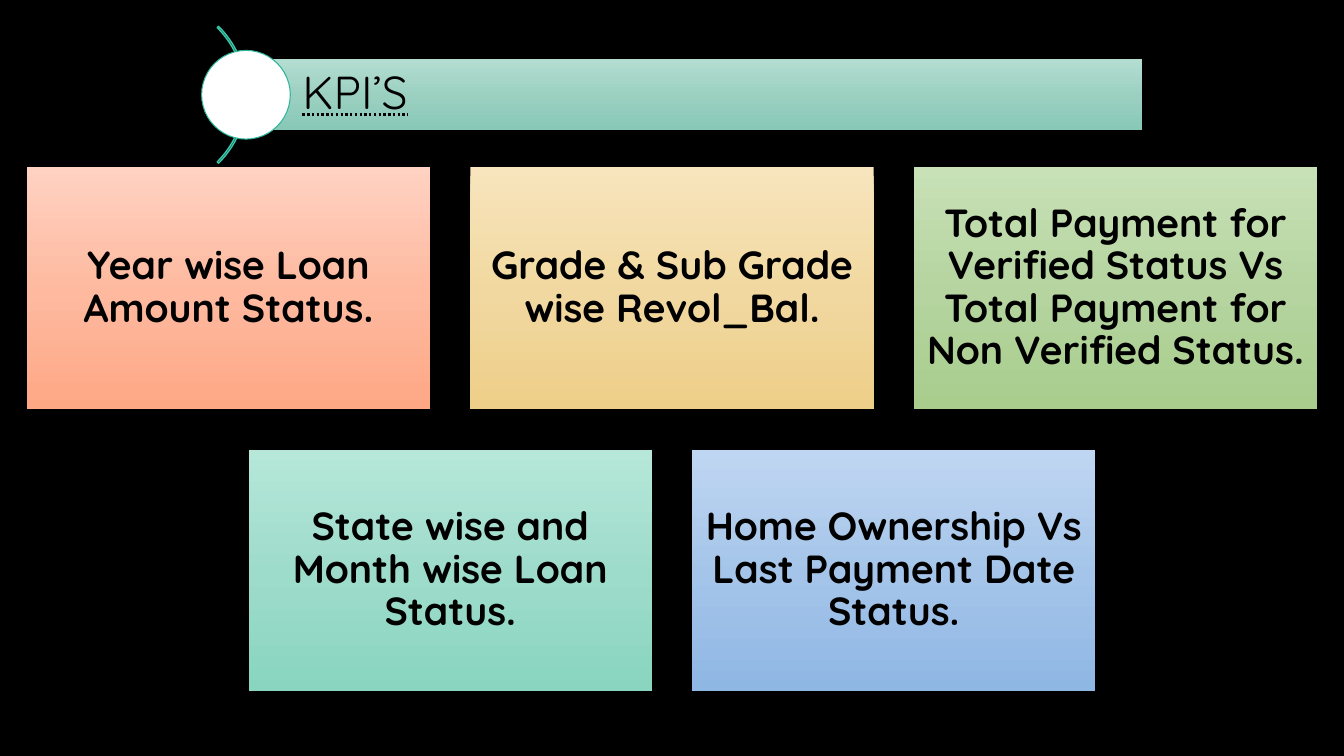
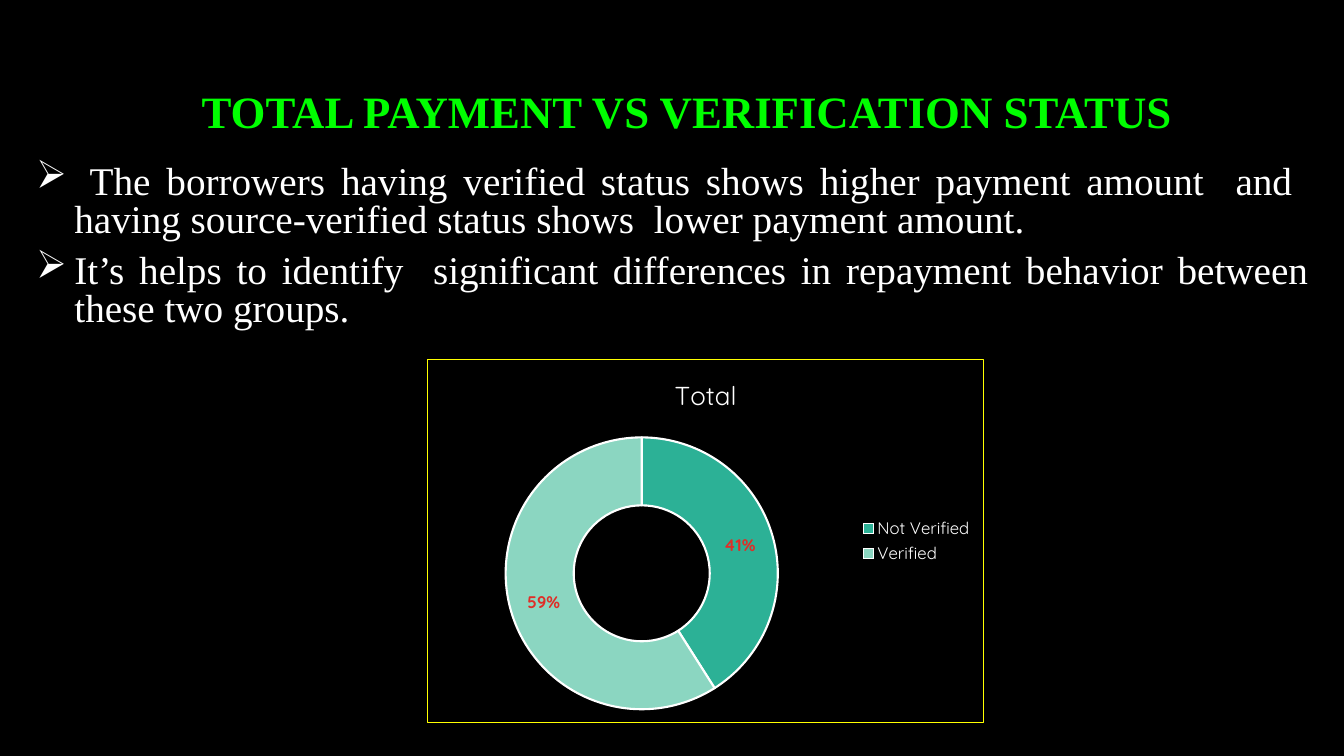
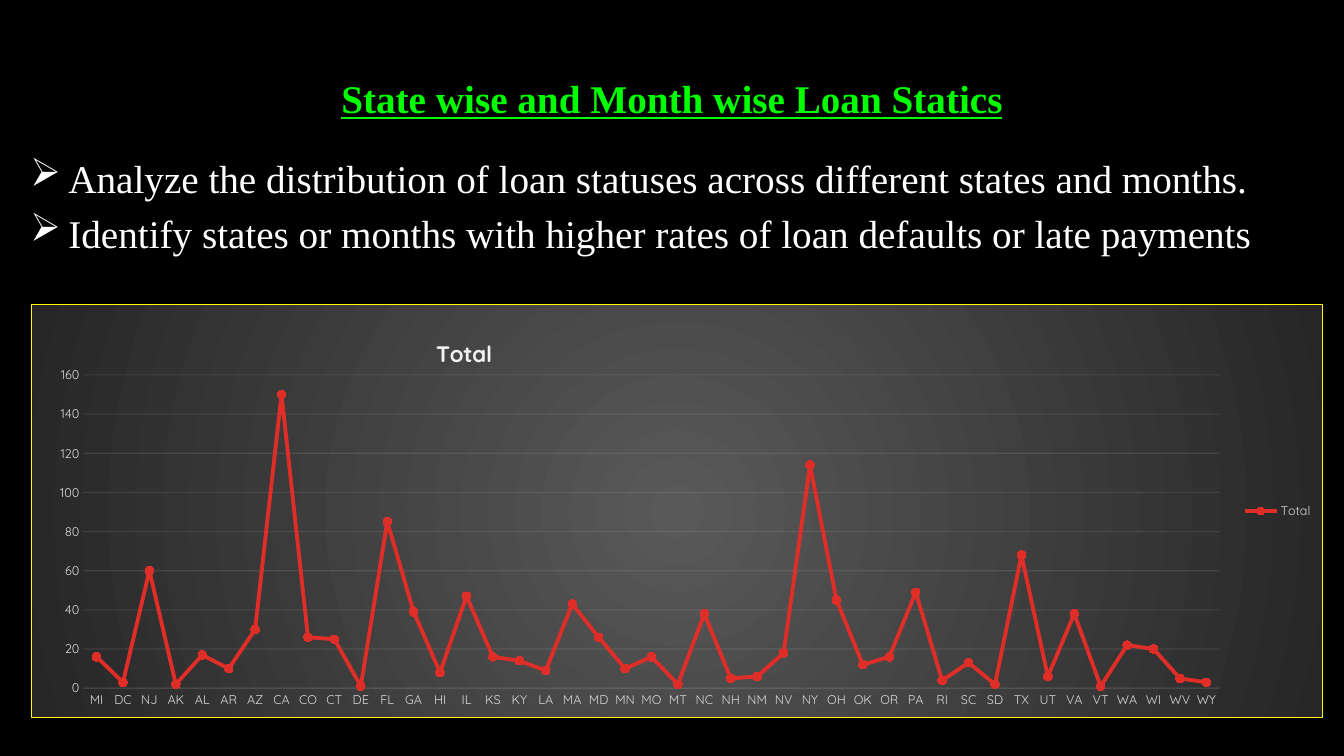
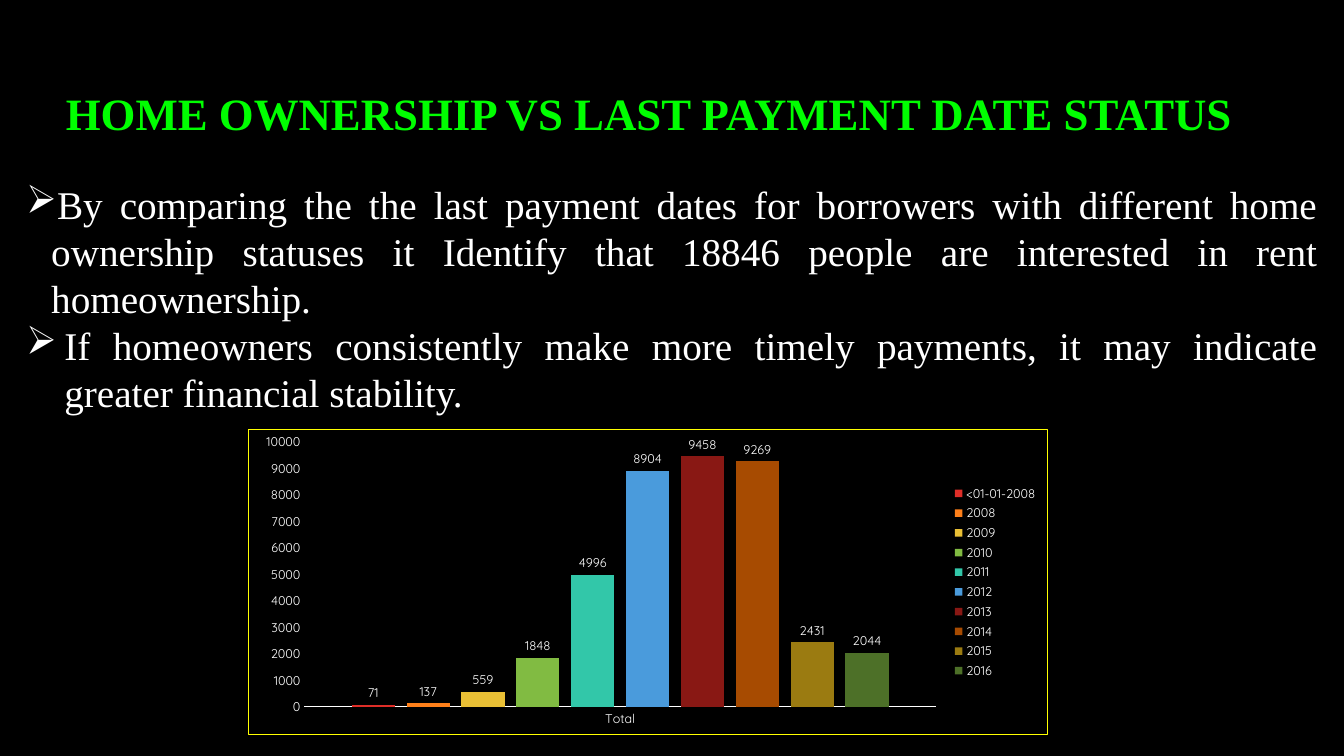
from dataclasses import dataclass
from typing import Optional

import pptx
import pptx.chart.chart
import pptx.chart.data
import pptx.dml.color
import pptx.enum.chart
import pptx.enum.dml
import pptx.enum.shapes
import pptx.enum.text
import pptx.oxml
import pptx.oxml.ns
import pptx.shapes.autoshape
import pptx.slide
import pptx.text.text
import pptx.util

COLUMNS, ROWS = 133.33, 75
CELL = 0.1
DISPLAY_FONT, BODY_FONT = "Quicksand", "Times New Roman"
BLACK, WHITE, GREEN, YELLOW, RED = "000000", "FFFFFF", "00FF00", "FFFF00", "DF2E28"
PALE = "D9D9D9"
CARD_WIDTH, CARD_HEIGHT, CARD_GAP, CARD_TOP = 40, 24, 4, 16.6

Align = pptx.enum.text.PP_ALIGN
Anchor = pptx.enum.text.MSO_ANCHOR
Preset = pptx.enum.shapes.MSO_SHAPE
ChartType = pptx.enum.chart.XL_CHART_TYPE


@dataclass(frozen=True)
class Box:
    column: float
    row: float
    columns: float
    rows: float

    def lengths(self) -> list:
        return [cells(n) for n in (self.column, self.row, self.columns, self.rows)]


@dataclass(frozen=True)
class TextStyle:
    size: float
    color: str
    font: str = BODY_FONT
    bold: bool = False
    underline: object = None


@dataclass(frozen=True)
class Card:
    text: str
    colors: tuple


@dataclass(frozen=True)
class Bullet:
    text: str
    indent: float = 0.38


@dataclass(frozen=True)
class PlotArea:
    x: float
    y: float
    width: float
    height: float


TITLE = TextStyle(32, GREEN, bold=True)
SUBTITLE = TextStyle(28, GREEN, bold=True, underline=True)
BODY = TextStyle(28, WHITE)
CARD_TEXT = TextStyle(28, BLACK, DISPLAY_FONT, bold=True)
BANNER_TEXT = TextStyle(33, BLACK, DISPLAY_FONT,
                        underline=pptx.enum.text.MSO_UNDERLINE.DOTTED_LINE)

CARD_ROWS = (
    (
        Card("Year wise Loan Amount Status.", ("FFD2C2", "FEB99F", "FEA785")),
        Card("Grade & Sub Grade wise Revol_Bal.", ("F8E5BD", "F1D8A0", "EECF89")),
        Card("Total Payment for Verified Status Vs Total Payment for Non Verified Status.",
             ("C8E1B7", "B5D49F", "A8CD8D")),
    ),
    (
        Card("State wise and Month wise Loan Status.", ("B6E7D9", "9DDBCA", "89D5C0")),
        Card("Home Ownership Vs Last Payment Date Status.", ("BFD6F2", "A4C4E9", "8FB7E4")),
    ),
)

LOANS_BY_STATE = {
    "MI": 16, "DC": 3, "NJ": 60, "AK": 2, "AL": 17, "AR": 10, "AZ": 30, "CA": 150,
    "CO": 26, "CT": 25, "DE": 1, "FL": 85, "GA": 39, "HI": 8, "IL": 47, "KS": 16,
    "KY": 14, "LA": 9, "MA": 43, "MD": 26, "MN": 10, "MO": 16, "MT": 2, "NC": 38,
    "NH": 5, "NM": 6, "NV": 18, "NY": 114, "OH": 45, "OK": 12, "OR": 16, "PA": 49,
    "RI": 4, "SC": 13, "SD": 2, "TX": 68, "UT": 6, "VA": 38, "VT": 1, "WA": 22,
    "WI": 20, "WV": 5, "WY": 3,
}

PAYMENTS_BY_YEAR = {
    "<01-01-2008": (71, "DF2E28"), "2008": (137, "FE801A"), "2009": (559, "E9BF35"),
    "2010": (1848, "81BB42"), "2011": (4996, "32C7A9"), "2012": (8904, "4A9BDC"),
    "2013": (9458, "891814"), "2014": (9269, "A74B01"), "2015": (2431, "9B7B11"),
    "2016": (2044, "4D7028"),
}


def cells(count: float) -> pptx.util.Length:
    return pptx.util.Inches(count * CELL)


def rgb(color: str) -> pptx.dml.color.RGBColor:
    return pptx.dml.color.RGBColor.from_string(color)


def paint(fill, color: str) -> None:
    fill.solid()
    fill.fore_color.rgb = rgb(color)


def draw_line(line, color: str, width: float) -> None:
    paint(line.fill, color)
    line.width = pptx.util.Pt(width)


def style_font(font, style: TextStyle) -> None:
    font.name = style.font
    font.size = pptx.util.Pt(style.size)
    font.bold = style.bold
    font.color.rgb = rgb(style.color)
    if style.underline is not None:
        font.underline = style.underline


def gradient_xml(stops: dict, direction: str) -> str:
    stop_xml = "".join(
        f'<a:gs pos="{position * 1000}"><a:srgbClr val="{color}"/></a:gs>'
        for position, color in stops.items())
    return (f'<a:gradFill {pptx.oxml.ns.nsdecls("a")} rotWithShape="1">'
            f"<a:gsLst>{stop_xml}</a:gsLst>{direction}</a:gradFill>")


def add_run(paragraph, text: str, style: TextStyle) -> None:
    run = paragraph.add_run()
    run.text = text
    style_font(run.font, style)


def add_shape(slide: pptx.slide.Slide, preset, box: Box, fill: Optional[str] = None,
              outline: Optional[tuple] = None) -> pptx.shapes.autoshape.Shape:
    shape = slide.shapes.add_shape(preset, *box.lengths())
    shape.shadow.inherit = False
    if fill:
        paint(shape.fill, fill)
    else:
        shape.fill.background()
    if outline:
        draw_line(shape.line, *outline)
    else:
        shape.line.fill.background()
    return shape


def add_panel(slide: pptx.slide.Slide, box: Box, colors: tuple, text: str, style: TextStyle,
              alignment, insets: tuple) -> None:
    panel = add_shape(slide, Preset.RECTANGLE, box)
    properties = panel._element.spPr
    gradient = gradient_xml(dict(zip((0, 52, 100), colors)), '<a:lin ang="5400000" scaled="0"/>')
    properties.replace(properties.find(pptx.oxml.ns.qn("a:noFill")),
                       pptx.oxml.parse_xml(gradient))
    frame = panel.text_frame
    frame.word_wrap = True
    frame.vertical_anchor = Anchor.MIDDLE
    frame.margin_left, frame.margin_top, frame.margin_right, frame.margin_bottom = (
        pptx.util.Inches(inset) for inset in insets)
    paragraph = frame.paragraphs[0]
    paragraph.alignment = alignment
    paragraph.line_spacing = 0.9
    add_run(paragraph, text, style)


def add_text_frame(slide: pptx.slide.Slide, box: Box, anchor=Anchor.TOP) -> pptx.text.text.TextFrame:
    frame = slide.shapes.add_textbox(*box.lengths()).text_frame
    frame.word_wrap = True
    frame.vertical_anchor = anchor
    return frame


def add_title(slide: pptx.slide.Slide, box: Box, text: str, style: TextStyle = TITLE,
              anchor=Anchor.MIDDLE, line_spacing: float = 0.9) -> None:
    paragraph = add_text_frame(slide, box, anchor).paragraphs[0]
    paragraph.alignment = Align.CENTER
    paragraph.line_spacing = line_spacing
    add_run(paragraph, text, style)


def add_bullets(slide: pptx.slide.Slide, box: Box, bullets: tuple, line_spacing: float = 1.0,
                space_before: float = 0) -> None:
    frame = add_text_frame(slide, box)
    for index, bullet in enumerate(bullets):
        paragraph = frame.add_paragraph() if index else frame.paragraphs[0]
        paragraph.alignment = Align.JUSTIFY
        paragraph.line_spacing = line_spacing
        paragraph.space_before = pptx.util.Pt(space_before)
        properties = paragraph._p.get_or_add_pPr()
        indent = pptx.util.Inches(bullet.indent)
        properties.set("marL", str(indent))
        properties.set("indent", str(-indent))
        properties.append(pptx.oxml.parse_xml(
            f'<a:buChar {pptx.oxml.ns.nsdecls("a")} char="➢"/>'))
        add_run(paragraph, bullet.text, BODY)


def set_layout(parent, index: int, target: str = "", **shares: float) -> None:
    for layout in parent.findall(pptx.oxml.ns.qn("c:layout")):
        parent.remove(layout)
    modes = '<c:xMode val="edge"/><c:yMode val="edge"/>'
    values = "".join(f'<c:{name} val="{share}"/>' for name, share in shares.items())
    parent.insert(index, pptx.oxml.parse_xml(
        f'<c:layout {pptx.oxml.ns.nsdecls("c")}><c:manualLayout>{target}{modes}{values}'
        "</c:manualLayout></c:layout>"))


def add_chart(slide: pptx.slide.Slide, kind, box: Box, categories: list, series: dict,
              area: PlotArea, legend: TextStyle,
              background: str = "<a:noFill/>") -> pptx.chart.chart.Chart:
    data = pptx.chart.data.CategoryChartData()
    data.categories = categories
    for name, values in series.items():
        data.add_series(name, values)
    chart = slide.shapes.add_chart(kind, *box.lengths(), data).chart
    style_font(chart.font, TextStyle(10, WHITE, DISPLAY_FONT))
    chart.has_title = False
    chart.has_legend = True
    chart.legend.position = pptx.enum.chart.XL_LEGEND_POSITION.RIGHT
    chart.legend.include_in_layout = False
    style_font(chart.legend.font, legend)
    chart_space = chart._chartSpace
    set_layout(chart_space.xpath("c:chart/c:plotArea")[0], 0, '<c:layoutTarget val="inner"/>',
               x=area.x, y=area.y, w=area.width, h=area.height)
    chart_space.xpath("c:chart")[0].addnext(pptx.oxml.parse_xml(
        f'<c:spPr {pptx.oxml.ns.nsdecls("c", "a")}>{background}'
        f'<a:ln w="{pptx.util.Pt(0.75)}"><a:solidFill><a:srgbClr val="{YELLOW}"/></a:solidFill>'
        "</a:ln></c:spPr>"))
    return chart


def add_chart_title(chart: pptx.chart.chart.Chart, style: TextStyle) -> None:
    chart.has_title = True
    add_run(chart.chart_title.text_frame.paragraphs[0], "Total", style)
    chart.chart_title.include_in_layout = False


def style_axes(chart: pptx.chart.chart.Chart, color: str, line_color: str, maximum: float,
               step: float, gridlines: bool) -> None:
    for axis in (chart.category_axis, chart.value_axis):
        axis.major_tick_mark = pptx.enum.chart.XL_TICK_MARK.NONE
        axis.minor_tick_mark = pptx.enum.chart.XL_TICK_MARK.NONE
        style_font(axis.tick_labels.font, TextStyle(9, color, DISPLAY_FONT))
    draw_line(chart.category_axis.format.line, line_color, 0.75)
    value_axis = chart.value_axis
    value_axis.format.line.fill.background()
    value_axis.minimum_scale = 0
    value_axis.maximum_scale = maximum
    value_axis.major_unit = step
    value_axis.has_major_gridlines = gridlines
    if gridlines:
        draw_line(value_axis.major_gridlines.format.line, line_color, 0.75)


def build_kpi_slide(slide: pptx.slide.Slide) -> None:
    arc = add_shape(slide, Preset.BLOCK_ARC, Box(5.3, -0.2, 19.2, 19.2), outline=("3AC8AA", 1))
    for index, value in enumerate((189, 27, 0.01)):
        arc.adjustments[index] = value
    add_panel(slide, Box(24.4, 5.9, 88.9, 7), ("B3DDD1", "9BD0C1", "88C8B6"), "KPI’S",
              BANNER_TEXT, Align.LEFT, (0.56, 0.09, 0.09, 0.09))
    add_shape(slide, Preset.OVAL, Box(20, 5, 8.8, 8.8), WHITE, ("2DB599", 0.75))
    for row, cards in enumerate(CARD_ROWS):
        row_width = len(cards) * (CARD_WIDTH + CARD_GAP) - CARD_GAP
        left = (COLUMNS - row_width) / 2
        for column, card in enumerate(cards):
            box = Box(left + column * (CARD_WIDTH + CARD_GAP),
                      CARD_TOP + row * (CARD_HEIGHT + CARD_GAP), CARD_WIDTH, CARD_HEIGHT)
            add_panel(slide, box, card.colors, card.text, CARD_TEXT, Align.CENTER, (0.12,) * 4)


def build_verification_slide(slide: pptx.slide.Slide) -> None:
    add_title(slide, Box(18.6, 5.7, 100.2, 11.2), "TOTAL PAYMENT VS VERIFICATION STATUS ")
    add_bullets(slide, Box(2.6, 15.9, 128.2, 18.9), (
        Bullet(" The borrowers having verified status shows higher payment amount  and  having "
               "source-verified status shows  lower payment amount."),
        Bullet("It’s helps to identify  significant differences in repayment behavior between "
               "these two groups."),
    ), line_spacing=0.8, space_before=10)
    chart = add_chart(slide, ChartType.DOUGHNUT, Box(42.4, 35.6, 55.2, 36.1),
                      ["Not Verified", "Verified"], {"Total": (41, 59)},
                      PlotArea(0.14, 0.21, 0.49, 0.76), TextStyle(12, WHITE, DISPLAY_FONT))
    add_chart_title(chart, TextStyle(18.6, WHITE, DISPLAY_FONT))
    plot = chart.plots[0]
    plot.vary_by_categories = True
    chart._chartSpace.xpath(".//c:holeSize")[0].set("val", "75")
    for index, color in enumerate(("2CB196", "8BD6C1")):
        point = plot.series[0].points[index]
        paint(point.format.fill, color)
        draw_line(point.format.line, WHITE, 1.5)
    plot.has_data_labels = True
    labels = plot.data_labels
    labels.show_value = False
    labels.show_percentage = True
    labels.number_format = "0%"
    labels.number_format_is_linked = False
    style_font(labels.font, TextStyle(12, RED, DISPLAY_FONT, bold=True))


def build_state_slide(slide: pptx.slide.Slide) -> None:
    add_bullets(slide, Box(2, 14.8, 129.2, 15.5), (
        Bullet("Analyze the distribution of loan statuses across different states and months."),
        Bullet("Identify states or months with higher rates of loan defaults or late payments"),
    ), space_before=5.5)
    add_title(slide, Box(22.9, 6.9, 87.5, 5.7), "State wise and Month wise Loan Statics",
              SUBTITLE, Anchor.TOP, 1.0)
    glow = gradient_xml(
        {0: "595959", 100: "262626"},
        '<a:path path="circle"><a:fillToRect l="50000" t="50000" r="50000" b="50000"/></a:path>')
    chart = add_chart(slide, ChartType.LINE_MARKERS, Box(3.1, 30.2, 128.2, 41),
                      list(LOANS_BY_STATE), {"Total": tuple(LOANS_BY_STATE.values())},
                      PlotArea(0.04, 0.17, 0.88, 0.76), TextStyle(9, PALE, DISPLAY_FONT), glow)
    add_chart_title(chart, TextStyle(16, "F2F2F2", DISPLAY_FONT, bold=True))
    set_layout(chart._chartSpace.xpath("c:chart/c:title")[0], 1, x=0.31, y=0.07)
    style_axes(chart, PALE, "F2F2F2", 160, 20, True)
    for color in chart._chartSpace.xpath(
            ".//c:catAx/c:spPr//a:srgbClr | .//c:majorGridlines//a:srgbClr"):
        color.append(pptx.oxml.parse_xml(
            f'<a:alpha {pptx.oxml.ns.nsdecls("a")} val="10000"/>'))
    chart.plots[0].vary_by_categories = False
    series = chart.plots[0].series[0]
    series.smooth = False
    draw_line(series.format.line, RED, 2.75)
    series.marker.style = pptx.enum.chart.XL_MARKER_STYLE.CIRCLE
    series.marker.size = 6
    paint(series.marker.format.fill, "E8251F")
    draw_line(series.marker.format.line, RED, 0.75)


def build_ownership_slide(slide: pptx.slide.Slide) -> None:
    add_title(slide, Box(1.6, 4.5, 125.6, 14.1), "HOME OWNERSHIP VS LAST PAYMENT DATE STATUS")
    add_bullets(slide, Box(1.6, 17.4, 130.1, 25.8), (
        Bullet("By comparing the the last payment dates for borrowers with different home "
               "ownership statuses it Identify that 18846 people are interested in rent "
               "homeownership.", 0.25),
        Bullet("If homeowners consistently make more timely payments, it may indicate greater "
               "financial stability."),
    ))
    chart = add_chart(slide, ChartType.COLUMN_CLUSTERED, Box(24.6, 42.6, 79.4, 30.3), ["Total"],
                      {year: (value,) for year, (value, _) in PAYMENTS_BY_YEAR.items()},
                      PlotArea(0.07, 0.04, 0.79, 0.87), TextStyle(9, WHITE, DISPLAY_FONT))
    style_axes(chart, WHITE, WHITE, 10000, 1000, False)
    plot = chart.plots[0]
    plot.vary_by_categories = False
    plot.gap_width = 219
    plot.overlap = -27
    for series, (_, color) in zip(plot.series, PAYMENTS_BY_YEAR.values()):
        paint(series.format.fill, color)
    plot.has_data_labels = True
    labels = plot.data_labels
    labels.show_value = True
    labels.position = pptx.enum.chart.XL_LABEL_POSITION.OUTSIDE_END
    style_font(labels.font, TextStyle(9, WHITE, DISPLAY_FONT))


def main() -> None:
    presentation = pptx.Presentation()
    presentation.slide_width = cells(COLUMNS)
    presentation.slide_height = cells(ROWS)
    paint(presentation.slide_master.background.fill, BLACK)
    blank_layout = presentation.slide_layouts[6]
    for build in (build_kpi_slide, build_verification_slide, build_state_slide,
                  build_ownership_slide):
        build(presentation.slides.add_slide(blank_layout))
    presentation.save("out.pptx")


if __name__ == "__main__":
    main()
